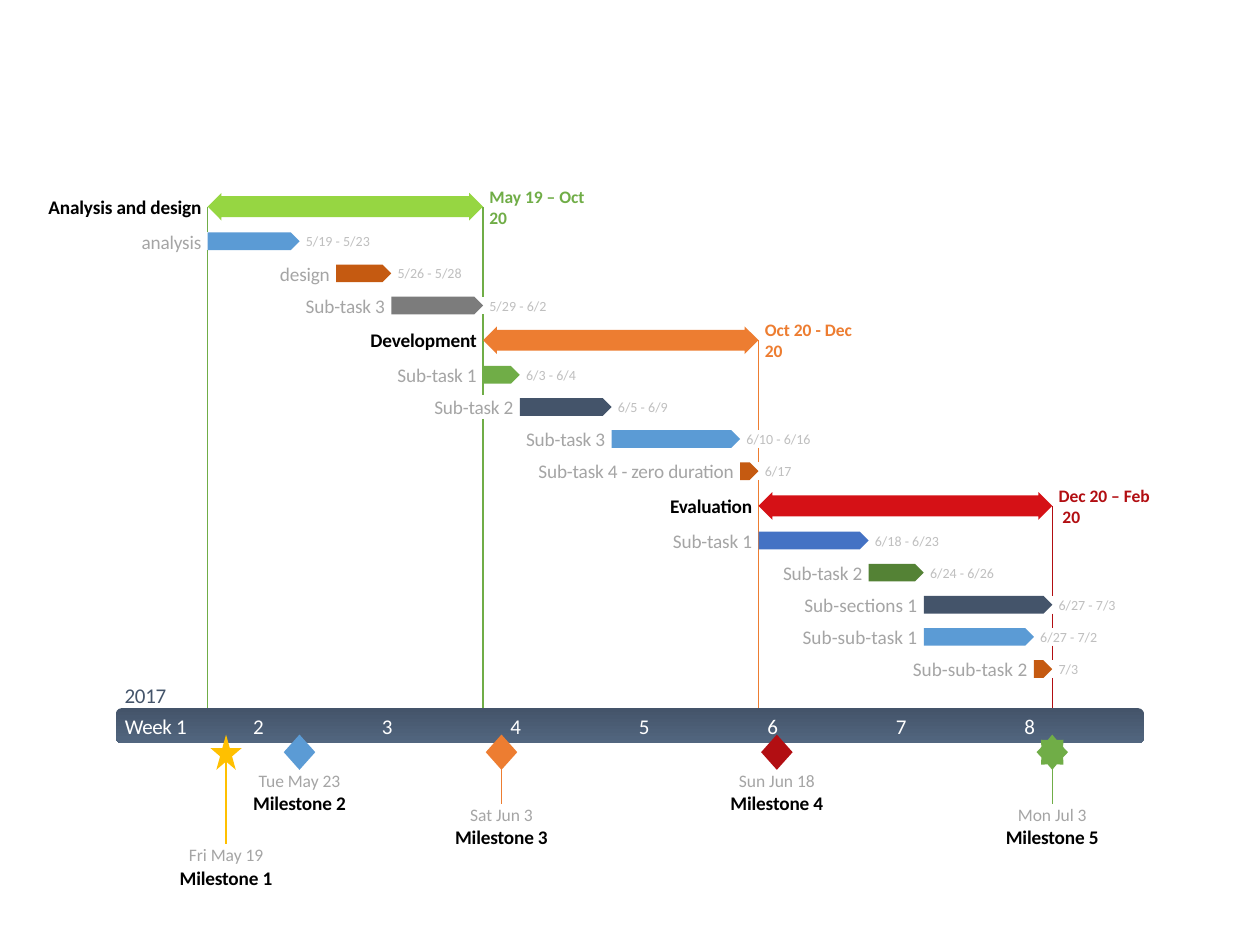
from lxml import etree
from pptx import Presentation
from pptx import util as u
from pptx.dml.color import RGBColor
from pptx.enum import shapes, text
from pptx.oxml.ns import qn

COLORS = {
    "navy": "44546A", "slate": "52667F", "blue": "5B9BD5", "royal": "4472C4",
    "green": "70AD47", "lime": "96D642", "forest": "548235", "orange": "ED7D31",
    "rust": "C55A11", "gold": "FFC000", "red": "D51116", "crimson": "B20E12",
    "gray": "7C7C7C", "label": "A5A5A5", "date": "BFBFBF",
    "black": "000000", "white": "FFFFFF",
}
SHAPE, ALIGN = shapes.MSO_SHAPE, text.PP_ALIGN

# Time scale: day 0 is the left end of the timeline
LEFT, WEEK = 0.92, 1.02
DAY = WEEK / 7
WEEKS = 8
BAND_TOP, BAND_H = 5.62, 0.28

# Row grid
FIRST_ROW, TASK_STEP, PHASE_STEP = 1.64, 0.255, 0.275
BAR_H, PHASE_H, LABEL_H, GAP = 0.14, 0.22, 0.19, 0.05
LEADER_TOP = 5.97

# Text formats: font values, then letter spacing in points
PHASE = ({"size": u.Pt(11), "bold": True}, -0.1)
TASK = ({"size": u.Pt(11)}, -0.1)
SUBSECTION = ({"size": u.Pt(11)}, 0)
PHASE_DATE = ({"size": u.Pt(10), "bold": True}, 0)
SMALL = ({"size": u.Pt(8)}, 0)
MILESTONE_DATE = ({"size": u.Pt(10)}, 0)
AXIS = ({"size": u.Pt(12)}, -0.2)

# Phase: label, width, start day, days, bar colour, dates, width, date colour, tasks
# Task: label, width, start day, days, colour, dates, width
PHASES = [
    ("Analysis and design", 1.25, 5, 15, "lime", "May 19 – Oct 20", 0.83, "green", [
        ("analysis", 0.54, 5, 5, "blue", "5/19 - 5/23", 0.51),
        ("design", 0.65, 12, 3, "rust", "5/26 - 5/28", 0.51),
        ("Sub-task 3", 0.65, 15, 5, "gray", "5/29 - 6/2", 0.46)]),
    ("Development", 0.98, 20, 15, "orange", "Oct 20 - Dec 20", 0.78, "orange", [
        ("Sub-task 1", 0.65, 20, 2, "green", "6/3 - 6/4", 0.4),
        ("Sub-task 2", 0.65, 22, 5, "navy", "6/5 - 6/9", 0.4),
        ("Sub-task 3", 0.65, 27, 7, "blue", "6/10 - 6/16", 0.51),
        ("Sub-task 4 - zero duration", 1.6, 34, 1, "rust", "6/17", 0.22)]),
    ("Evaluation", 0.67, 35, 16, "red", "Dec 20 – Feb  20", 0.74, "crimson", [
        ("Sub-task 1", 0.65, 35, 6, "royal", "6/18 - 6/23", 0.51),
        ("Sub-task 2", 0.65, 41, 3, "forest", "6/24 - 6/26", 0.51),
        ("Sub-sections 1", 0.9, 44, 7, "navy", "6/27 - 7/3", 0.46),
        ("Sub-sub-task 1", 0.92, 44, 6, "blue", "6/27 - 7/2", 0.46),
        ("Sub-sub-task 2", 0.92, 50, 1, "rust", "7/3", 0.17)]),
]

# Guide: day, first row, colour, height left open at each crossed row
GUIDES = [
    (51, 9, "crimson", {12: BAR_H, 13: BAR_H, 14: BAR_H}),
    (35, 4, "orange", {7: BAR_H, 8: BAR_H}),
    (20, 0, "green", {3: BAR_H, 6: LABEL_H}),
    (5, 0, "green", {1: BAR_H}),
]

# Milestone: name, date, date width, day, marker, colour, top of the date
MILESTONES = [
    ("Milestone 1", "Fri May 19", 0.6, 6, SHAPE.STAR_5_POINT, "gold", 6.7),
    ("Milestone 2", "Tue May 23", 0.65, 10, SHAPE.DIAMOND, "blue", 6.11),
    ("Milestone 3", "Sat Jun 3", 0.5, 21, SHAPE.DIAMOND, "orange", 6.38),
    ("Milestone 4", "Sun Jun 18", 0.61, 36, SHAPE.DIAMOND, "crimson", 6.11),
    ("Milestone 5", "Mon Jul 3", 0.56, 51, SHAPE.STAR_8_POINT, "green", 6.38),
]


def rgb(name):
    return RGBColor.from_string(COLORS[name])


def day_x(day):
    return LEFT + day * DAY


def row_centers():
    centers, y = [], FIRST_ROW
    for phase in PHASES:
        centers.append(y)
        tasks = len(phase[-1])
        centers += [y + PHASE_STEP + i * TASK_STEP for i in range(tasks)]
        y = centers[-1] + PHASE_STEP
    return centers


def add_line(s, x, top, bottom, color):
    ln = s.shapes.add_connector(shapes.MSO_CONNECTOR.STRAIGHT, u.Inches(x),
                                u.Inches(top), u.Inches(x), u.Inches(bottom))
    ln.line.color.rgb = rgb(color)
    ln.line.width = u.Pt(0.75)
    etree.SubElement(ln._element.spPr, qn("a:effectLst"))


def add_block(s, kind, x, y, w, h, color):
    sp = s.shapes.add_shape(kind, *map(u.Inches, (x, y, w, h)))
    sp.shadow.inherit = False
    sp.fill.solid()
    sp.fill.fore_color.rgb = rgb(color)
    sp.line.fill.background()
    return sp


def add_text(s, words, x, y, w, h, style, color, align=ALIGN.LEFT, wrap=True):
    values, spacing = style
    tf = s.shapes.add_textbox(*map(u.Inches, (x, y, w, h))).text_frame
    frame = {"margin_left": 0, "margin_right": 0, "margin_top": 0, "margin_bottom": 0,
             "vertical_anchor": text.MSO_ANCHOR.MIDDLE, "word_wrap": wrap}
    for name, value in frame.items():
        setattr(tf, name, value)
    p = tf.paragraphs[0]
    p.alignment = align
    r = p.add_run()
    r.text = words
    for name, value in {"name": "Calibri", **values}.items():
        setattr(r.font, name, value)
    r.font.color.rgb = rgb(color)
    if spacing:
        r._r.get_or_add_rPr().set("spc", str(round(spacing * 100)))


def add_label(s, words, w, day, y, style, color):
    """Text that ends just before a bar."""
    w += 0.02
    add_text(s, words, day_x(day) - GAP - w, y - LABEL_H / 2, w, LABEL_H,
             style, color, ALIGN.RIGHT)


def add_guide(s, rows, day, first, color, gaps):
    top = rows[first]
    for row, h in gaps.items():
        add_line(s, day_x(day), top, rows[row] - h / 2, color)
        top = rows[row] + h / 2
    add_line(s, day_x(day), top, BAND_TOP, color)


def add_timeline(s):
    band = add_block(s, SHAPE.ROUNDED_RECTANGLE, LEFT, BAND_TOP, WEEKS * WEEK, BAND_H, "navy")
    band.fill.gradient()
    band.fill.gradient_angle = 270
    for stop, color in zip(band.fill.gradient_stops, ("navy", "slate")):
        stop.color.rgb = rgb(color)
    x = LEFT + 0.07
    for i in range(WEEKS):
        words, w = (str(i + 1), 0.08) if i else ("Week 1", 0.51)
        add_text(s, words, x + i * WEEK, 5.67, w, 0.19, AXIS, "white", wrap=False)
    add_text(s, "2017", x, 5.42, 0.33, 0.2, AXIS, "navy", wrap=False)


def add_milestone(s, name, date, date_w, day, marker, color, top):
    x = day_x(day)
    add_text(s, name, x - 0.38, top + 0.17, 0.76, LABEL_H, PHASE, "black", ALIGN.CENTER)
    w = date_w + 0.02
    add_text(s, date, x - w / 2, top, w, 0.17, MILESTONE_DATE, "label", ALIGN.CENTER)
    add_block(s, marker, x - 0.125, 5.83, 0.25, 0.28, color)


def add_phase(s, y, label, label_w, start, days, color, dates, dates_w, date_color):
    bar = add_block(s, SHAPE.LEFT_RIGHT_ARROW, day_x(start), y - PHASE_H / 2,
                    days * DAY, PHASE_H, color)
    bar.adjustments[0] = 0.75
    add_label(s, label, label_w, start, y, PHASE, "black")
    add_text(s, dates, day_x(start + days) + GAP, y - 0.17, dates_w, 0.34,
             PHASE_DATE, date_color)


def add_task(s, y, label, label_w, start, days, color, dates, dates_w):
    top = y - BAR_H / 2
    add_block(s, SHAPE.PENTAGON, day_x(start), top, days * DAY, BAR_H, color)
    style = SUBSECTION if label.startswith("Sub-s") else TASK
    add_label(s, label, label_w, start, y, style, "label")
    add_text(s, dates, day_x(start + days) + GAP, top, dates_w + 0.02, BAR_H, SMALL, "date")


def main():
    prs = Presentation()
    prs.slide_width, prs.slide_height = u.Inches(10), u.Inches(7.5)
    s = prs.slides.add_slide(prs.slide_layouts[6])
    rows = row_centers()

    # Lines behind everything else
    for *_, day, _, color, top in MILESTONES:
        if top > 6.11:
            add_line(s, day_x(day), LEADER_TOP, top, color)
    for guide in GUIDES:
        add_guide(s, rows, *guide)

    # Week band and milestones
    add_timeline(s)
    for milestone in MILESTONES:
        add_milestone(s, *milestone)

    # Phases with their tasks
    centers = iter(rows)
    for *phase, tasks in PHASES:
        add_phase(s, next(centers), *phase)
        for task in tasks:
            add_task(s, next(centers), *task)

    prs.save("out.pptx")


if __name__ == "__main__":
    main()
